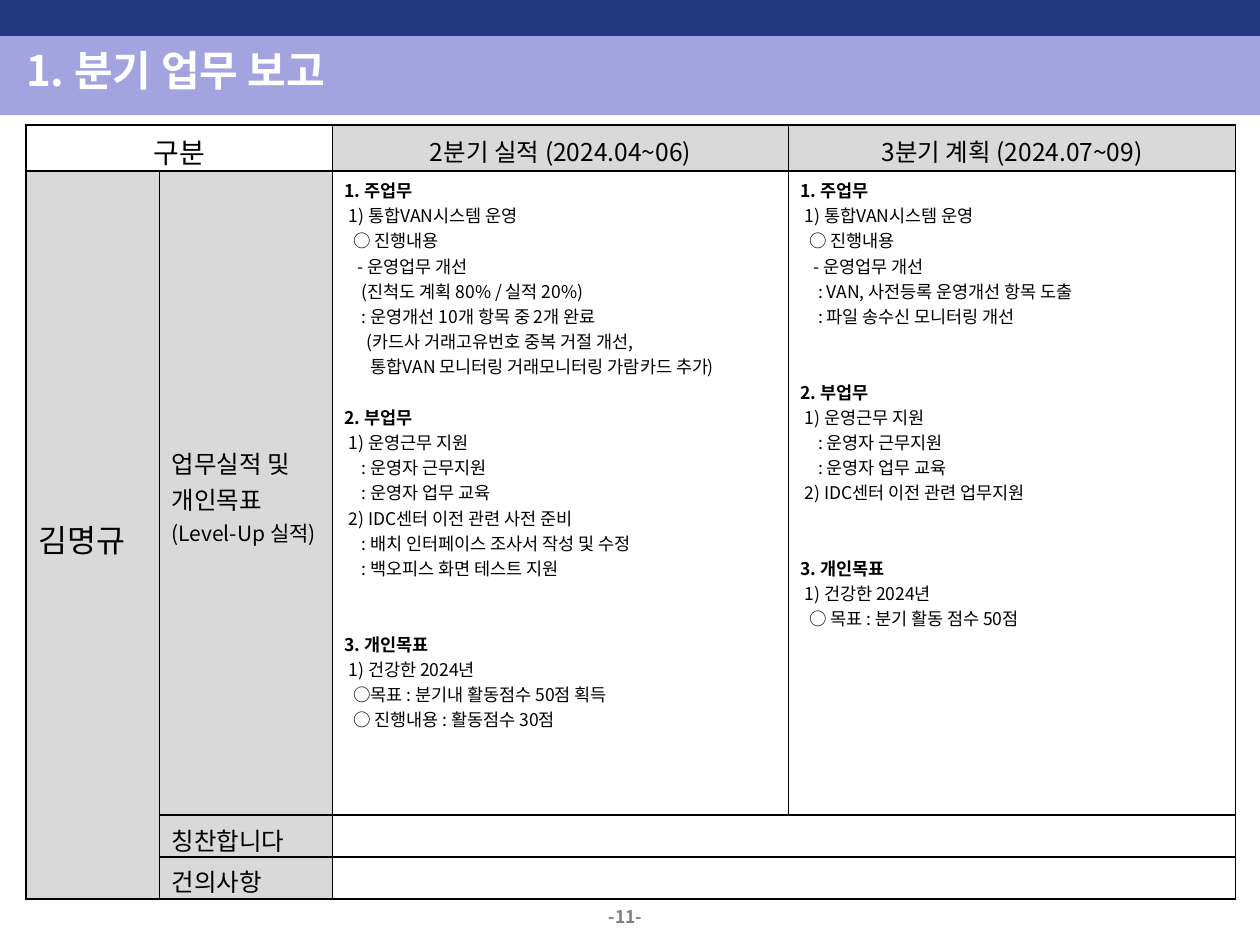
from lxml.etree import SubElement
from pptx import Presentation
from pptx.dml.color import RGBColor
from pptx.enum.shapes import MSO_SHAPE
from pptx.enum.text import MSO_ANCHOR as ANCHOR, PP_ALIGN as ALIGN
from pptx.oxml.ns import qn
from pptx.util import Pt

FONT = "Noto Sans CJK KR"
LINE = 14.4
SPACE = 2.5

RESULTS = [
    (0, 0, "1. 주업무"),
    (1, 0, "1) 통합VAN시스템 운영"),
    (2, 0, "○ 진행내용"),
    (3, 0, "- 운영업무 개선"),
    (4, 0, "(진척도 계획 80% / 실적 20%)"),
    (4, 0, ": 운영개선 10개 항목 중 2개 완료"),
    (5, 0, "(카드사 거래고유번호 중복 거절 개선,"),
    (6, 0, "통합VAN 모니터링 거래모니터링 가람카드 추가)"),
    (0, 1, "2. 부업무"),
    (1, 0, "1) 운영근무 지원"),
    (4, 0, ": 운영자 근무지원"),
    (4, 0, ": 운영자 업무 교육"),
    (1, 0, "2) IDC센터 이전 관련 사전 준비"),
    (4, 0, ": 배치 인터페이스 조사서 작성 및 수정"),
    (4, 0, ": 백오피스 화면 테스트 지원"),
    (0, 2, "3. 개인목표"),
    (1, 0, "1) 건강한 2024년"),
    (2, 0, "○목표 : 분기내 활동점수 50점 획득"),
    (2, 0, "○ 진행내용 : 활동점수 30점"),
]
PLANS = [
    (0, 0, "1. 주업무"),
    (1, 0, "1) 통합VAN시스템 운영"),
    (2, 0, "○ 진행내용"),
    (3, 0, "- 운영업무 개선"),
    (4, 0, ": VAN, 사전등록 운영개선 항목 도출"),
    (4, 0, ": 파일 송수신 모니터링 개선"),
    (0, 2, "2. 부업무"),
    (1, 0, "1) 운영근무 지원"),
    (4, 0, ": 운영자 근무지원"),
    (4, 0, ": 운영자 업무 교육"),
    (1, 0, "2) IDC센터 이전 관련 업무지원"),
    (0, 2, "3. 개인목표"),
    (1, 0, "1) 건강한 2024년"),
    (2, 0, "○ 목표 : 분기 활동 점수 50점"),
]


def rgb(value):
    return RGBColor.from_string(value)


class Deck:
    ink, gray, white = "000000", "D9D9D9", "FFFFFF"

    def __init__(self, width, height):
        self.prs = Presentation()
        self.prs.slide_width, self.prs.slide_height = Pt(width), Pt(height)
        self.s = self.prs.slides.add_slide(self.prs.slide_layouts[6])

    def band(self, top, height, color):
        sp = self.s.shapes.add_shape(
            MSO_SHAPE.RECTANGLE, 0, Pt(top), self.prs.slide_width, Pt(height))
        sp.shadow.inherit = False
        sp.fill.solid()
        sp.fill.fore_color.rgb = rgb(color)
        sp.line.fill.background()

    def para(self, p, text, size, color=ink, bold=False, align=ALIGN.LEFT):
        p.add_run().text = text
        p.alignment = align
        font = p.font
        font.size, font.bold, font.name = Pt(size), bold, FONT
        font.color.rgb = rgb(color)
        SubElement(font._element, qn("a:ea"), typeface=FONT)

    def text(self, box, text, size, color, align=ALIGN.LEFT):
        tf = self.s.shapes.add_textbox(*map(Pt, box)).text_frame
        tf.word_wrap = True
        tf.vertical_anchor = ANCHOR.MIDDLE
        tf.margin_left = tf.margin_right = tf.margin_top = tf.margin_bottom = 0
        self.para(tf.paragraphs[0], text, size, color, True, align)

    def table(self, left, top, cols, rows):
        frame = self.s.shapes.add_table(
            len(rows), len(cols), Pt(left), Pt(top), Pt(sum(cols)), Pt(sum(rows)))
        table = frame.table
        table.first_row = table.horz_banding = False
        for col, width in zip(table.columns, cols):
            col.width = Pt(width)
        for row, height in zip(table.rows, rows):
            row.height = Pt(height)
        for cell in table.iter_cells():
            self.frame_cell(cell)
        return table

    def frame_cell(self, cell):
        tc_pr = cell._tc.get_or_add_tcPr()
        for side in ("lnL", "lnR", "lnT", "lnB"):
            ln = SubElement(tc_pr, qn(f"a:{side}"), w=str(Pt(1)))
            fill = SubElement(ln, qn("a:solidFill"))
            SubElement(fill, qn("a:srgbClr"), val=self.ink)
        cell.fill.solid()
        cell.fill.fore_color.rgb = rgb(self.white)
        cell.margin_left = cell.margin_right = Pt(6.8)
        cell.margin_top, cell.margin_bottom = Pt(3.6), 0
        end = cell.text_frame.paragraphs[0]._p.get_or_add_endParaRPr()
        end.set("sz", "1000")

    def label(self, cell, lines, fill=gray, align=ALIGN.LEFT):
        cell.fill.fore_color.rgb = rgb(fill)
        cell.vertical_anchor = ANCHOR.MIDDLE
        tf = cell.text_frame
        for i, (text, size) in enumerate(lines):
            p = tf.add_paragraph() if i else tf.paragraphs[0]
            self.para(p, text, size, align=align)

    def outline(self, cell, items):
        tf = cell.text_frame
        for i, (level, gap, text) in enumerate(items):
            p = tf.add_paragraph() if i else tf.paragraphs[0]
            self.para(p, text, 10, bold=level == 0)
            p.space_before = Pt(gap * LINE)
            p_pr = p._p.get_or_add_pPr()
            p_pr.set("marL", str(Pt(level * SPACE)))
            p_pr.set("indent", "0")


def main():
    deck = Deck(720, 540)
    deck.band(0, 20.6, "223982")
    deck.band(20.6, 45.2, "A3A3E0")
    deck.text((15, 25.2, 542, 29), "1. 분기 업무 보고", 24, "FFFFFF")
    deck.text((326, 514, 63, 19.4), "-11-", 10, "808080", ALIGN.CENTER)

    table = deck.table(15, 71.4, (76.3, 98.8, 260.6, 255.4), (26.4, 368, 24, 24))
    cell = table.cell
    cell(0, 0).merge(cell(0, 1))
    cell(1, 0).merge(cell(3, 0))
    for row in (2, 3):
        cell(row, 2).merge(cell(row, 3))

    deck.label(cell(0, 0), [("구분", 16)], deck.white, ALIGN.CENTER)
    deck.label(cell(0, 2), [("2분기 실적 (2024.04~06)", 14)], align=ALIGN.CENTER)
    deck.label(cell(0, 3), [("3분기 계획 (2024.07~09)", 14)], align=ALIGN.CENTER)
    deck.label(cell(1, 0), [("김명규", 18)])
    deck.label(cell(1, 1), [("업무실적 및", 14), ("개인목표", 14), ("(Level-Up 실적)", 12)])
    deck.label(cell(2, 1), [("칭찬합니다", 14)])
    deck.label(cell(3, 1), [("건의사항", 14)])
    deck.outline(cell(1, 2), RESULTS)
    deck.outline(cell(1, 3), PLANS)
    deck.prs.save("out.pptx")


if __name__ == "__main__":
    main()
